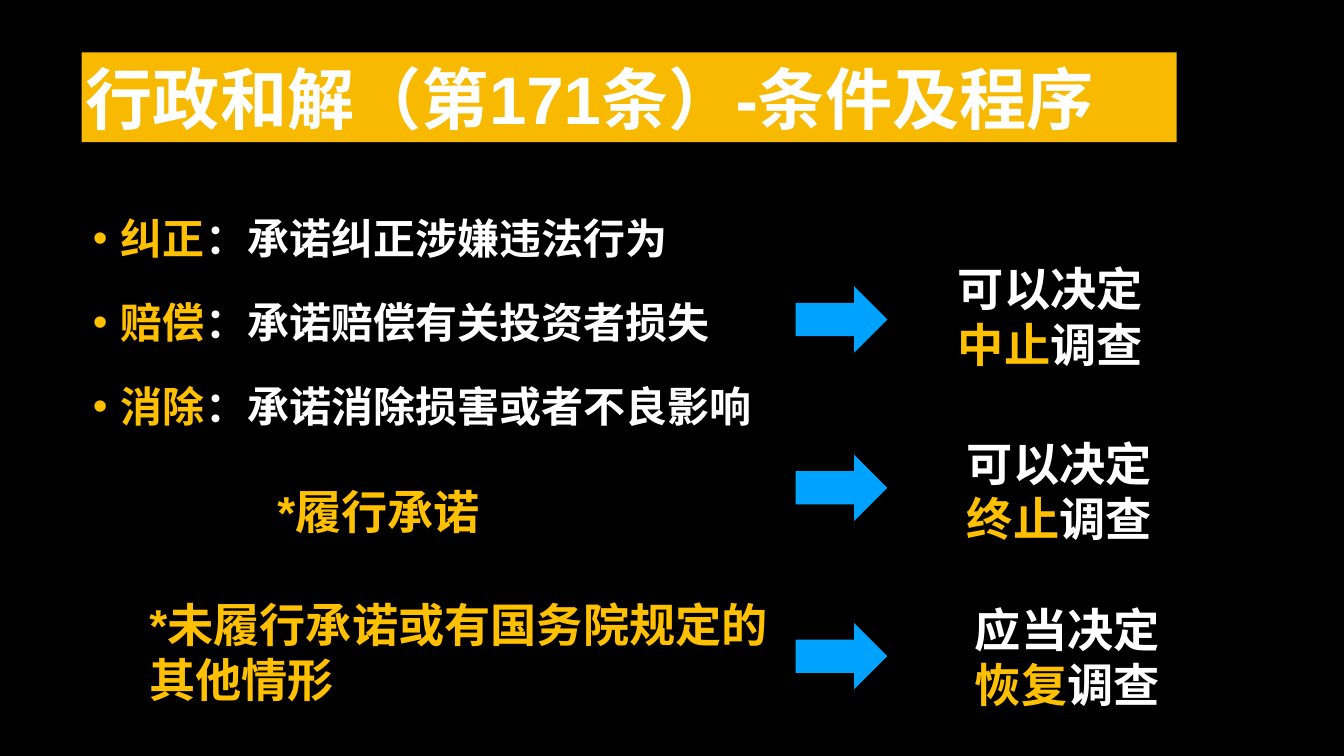
"""Build the slide on conditions and procedure of administrative settlement."""
from dataclasses import dataclass

from pptx import Presentation
from pptx.dml.color import RGBColor
from pptx.enum import shapes, text
from pptx.util import Inches, Pt

BLACK, WHITE, BANNER, GOLD, BLUE = "000000", "FFFFFF", "F8BA00", "FFC000", "00A2FF"
ARROW_TOP, ARROW_STEP = 2.84, 1.67


@dataclass
class Box:
    left: float
    top: float
    width: float
    height: float


@dataclass
class Span:
    words: str
    color: str


@dataclass
class Label:
    box: Box
    spans: list[Span]


def paint(target, color: str) -> None:
    target.solid()
    target.fore_color.rgb = RGBColor.from_string(color)


def place(shape, box: Box) -> None:
    shape.left, shape.top = Inches(box.left), Inches(box.top)
    shape.width, shape.height = Inches(box.width), Inches(box.height)


def prepare(frame) -> None:
    frame.word_wrap = True
    frame.auto_size = text.MSO_AUTO_SIZE.NONE
    frame.vertical_anchor = text.MSO_ANCHOR.MIDDLE
    frame.margin_left = frame.margin_right = Inches(0.04)
    frame.margin_top = frame.margin_bottom = Inches(0.04)


def write(paragraph, spans: list[Span], size: float, gap: float) -> None:
    paragraph.alignment = text.PP_ALIGN.LEFT
    paragraph.line_spacing = 1.0
    paragraph.space_before = paragraph.space_after = Pt(gap)
    for span in spans:
        run = paragraph.add_run()
        run.text = span.words
        run.font.name, run.font.size, run.font.bold = "Arial", Pt(size), True
        paint(run.font.fill, span.color)


def add_label(slide, label: Label) -> None:
    shape = slide.shapes.add_textbox(0, 0, 0, 0)
    place(shape, label.box)
    prepare(shape.text_frame)
    write(shape.text_frame.paragraphs[0], label.spans, 33, 24)


def add_arrow(slide, top: float) -> None:
    arrow = slide.shapes.add_shape(shapes.MSO_SHAPE.RIGHT_ARROW, 0, 0, 0, 0)
    place(arrow, Box(7.89, top, 0.91, 0.66))
    paint(arrow.fill, BLUE)
    arrow.line.fill.background()
    arrow.shadow.inherit = False


def add_title(slide) -> None:
    title = slide.shapes.title
    place(title, Box(0.81, 0.52, 10.86, 0.89))
    paint(title.fill, BANNER)
    prepare(title.text_frame)
    write(title.text_frame.paragraphs[0],
          [Span("行政和解（第171条）-条件及程序", WHITE)], 48, 0)


def add_conditions(slide) -> None:
    conditions = slide.placeholders[1]
    place(conditions, Box(0.88, 2.06, 7.01, 2.27))
    frame = conditions.text_frame
    prepare(frame)
    promises = [("纠正", "：承诺纠正涉嫌违法行为"),
                ("赔偿", "：承诺赔偿有关投资者损失"),
                ("消除", "：承诺消除损害或者不良影响")]
    for index, (duty, promise) in enumerate(promises):
        paragraph = frame.add_paragraph() if index else frame.paragraphs[0]
        write(paragraph, [Span(duty, GOLD), Span(promise, WHITE)], 30, 12)
        properties = paragraph._p.get_or_add_pPr()
        properties.set("marL", str(Inches(0.28)))
        properties.set("indent", str(-Inches(0.28)))


def outcome(left: float, top: float, decision: str, action: str) -> Label:
    return Label(Box(left, top, 2.21, 1.19),
                 [Span(decision, WHITE), Span(action, GOLD), Span("调查", WHITE)])


def main() -> None:
    deck = Presentation()
    deck.slide_width, deck.slide_height = Inches(13.33), Inches(7.5)
    slide = deck.slides.add_slide(deck.slide_layouts[1])
    paint(slide.background.fill, BLACK)
    add_title(slide)
    add_conditions(slide)
    labels = [
        Label(Box(2.71, 4.75, 2.58, 0.63), [Span("*履行承诺", GOLD)]),
        Label(Box(1.44, 5.87, 6.25, 1.19),
              [Span("*未履行承诺或有国务院规定的其他情形", GOLD)]),
        outcome(9.46, 2.54, "可以决定", "中止"),
        outcome(9.55, 4.27, "可以决定", "终止"),
        outcome(9.63, 5.92, "应当决定", "恢复"),
    ]
    for label in labels:
        add_label(slide, label)
    for row in range(3):
        add_arrow(slide, ARROW_TOP + row * ARROW_STEP)
    deck.save("out.pptx")


if __name__ == "__main__":
    main()
